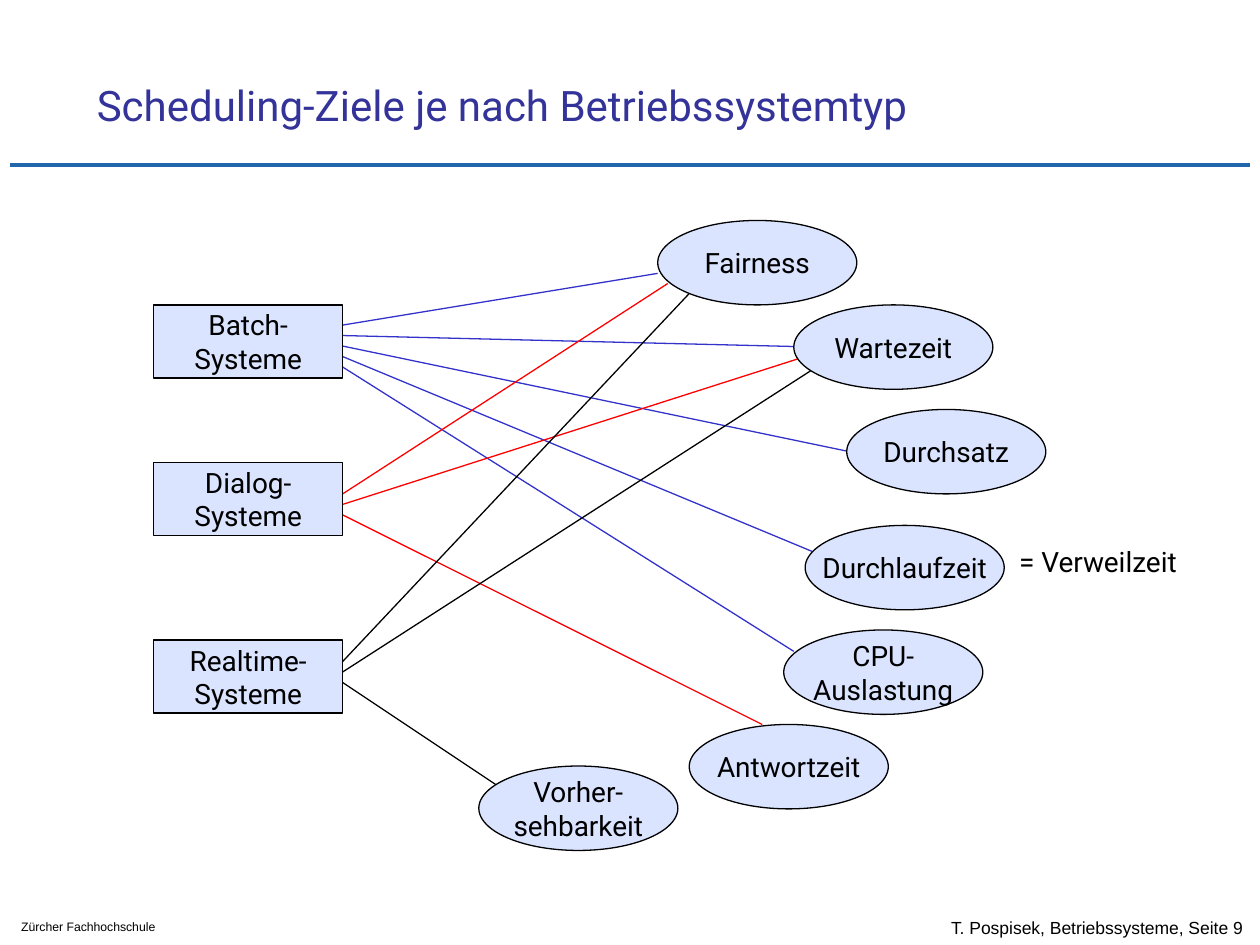
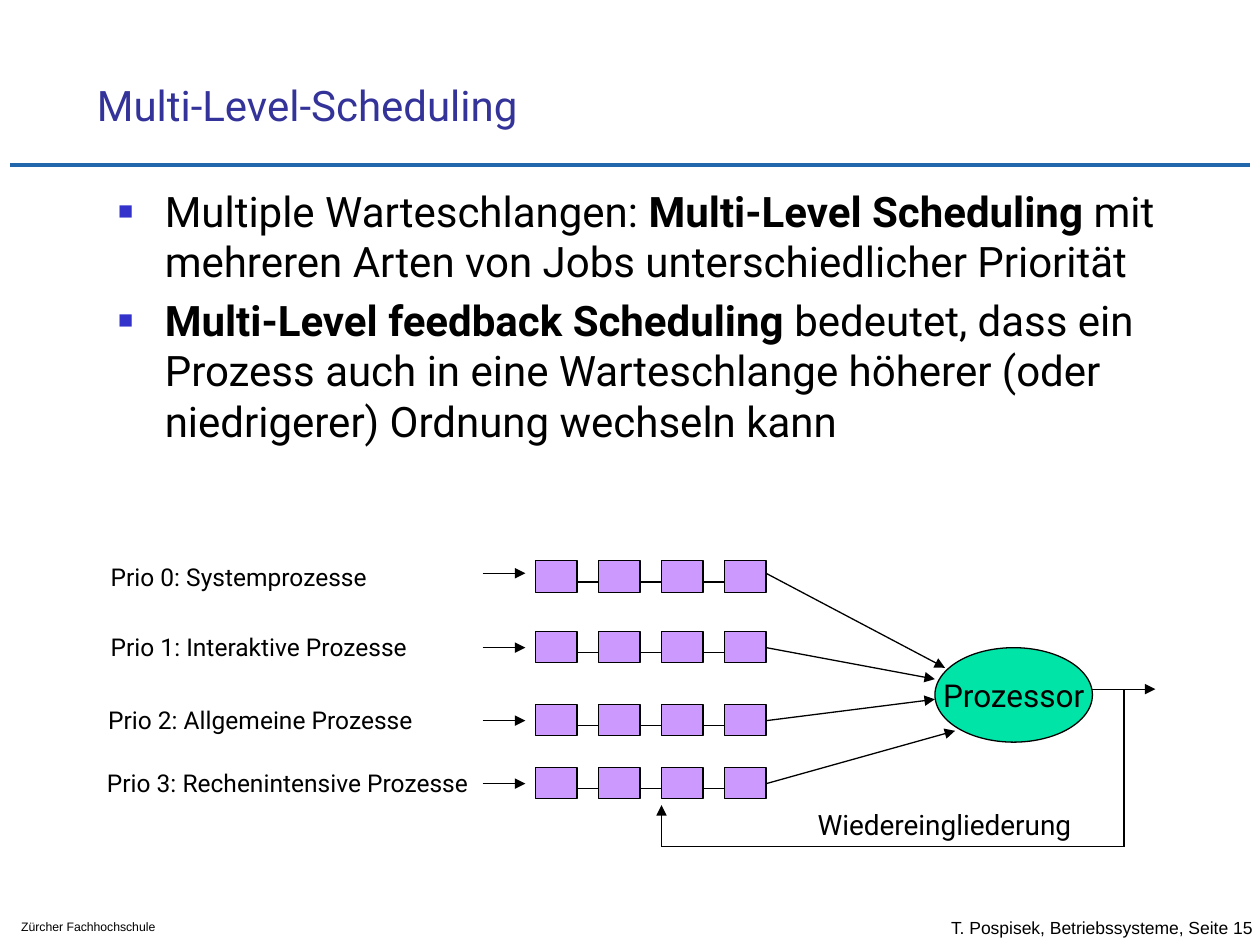
from dataclasses import dataclass
from itertools import pairwise
from typing import Any, NamedTuple

from lxml.etree import SubElement
from pptx import Presentation
from pptx.dml.color import RGBColor
from pptx.enum.shapes import MSO_CONNECTOR, MSO_SHAPE
from pptx.enum.text import MSO_ANCHOR, PP_ALIGN
from pptx.oxml.ns import qn
from pptx.slide import Slide
from pptx.util import Inches, Pt


@dataclass(frozen=True)
class Theme:
    black: str = "000000"
    title: str = "333399"
    rule: str = "2266AB"
    accent: str = "3333CC"
    red: str = "FF0000"
    node: str = "DAE4FF"
    job: str = "CC99FF"
    processor: str = "00E4A8"
    body_font: str = "Roboto"
    footer_font: str = "Arial"
    heading_size: float = 24
    processor_size: float = 18
    node_size: float = 16
    label_size: float = 14
    page_size: float = 10
    school_size: float = 7
    hairline: float = 0.75
    rule_width: float = 2.5


THEME = Theme()


class Point(NamedTuple):
    x: float
    y: float


class Box(NamedTuple):
    left: float
    top: float
    width: float
    height: float


class Span(NamedTuple):
    text: str
    bold: bool = False


class Goal(NamedTuple):
    text: str
    left: float
    top: float


class System(NamedTuple):
    text: str
    top: float
    first_exit: float
    color: str
    targets: list[Point]


class Queue(NamedTuple):
    text: str
    label_left: float
    label_width: float
    top: float
    flow_y: float
    processor_entry: Point


NODE_HEIGHT_STEP = 1 / 12
SYSTEM_LEFT, SYSTEM_WIDTH, SYSTEM_HEIGHT = 1.22, 1.5, 0.58
GOAL_WIDTH, GOAL_HEIGHT = 1.58, 0.67
JOB_LEFT, JOB_PITCH, JOB_WIDTH, JOB_HEIGHT, JOB_COUNT = 4.25, 0.5, 0.33, 0.25, 4

GOALS = [
    Goal("Fairness", 5.22, 1.75),
    Goal("Wartezeit", 6.3, 2.42),
    Goal("Durchsatz", 6.72, 3.25),
    Goal("Durchlaufzeit", 6.39, 4.17),
    Goal("CPU-\nAuslastung", 6.22, 5),
    Goal("Antwortzeit", 5.47, 5.75),
    Goal("Vorher-\nsehbarkeit", 3.8, 6.08),
]

SYSTEMS = [
    System("Batch-\nSysteme", 2.42, 2.58, THEME.accent,
           [Point(5.22, 2.17), Point(6.3, 2.75), Point(6.72, 3.58),
            Point(6.55, 4.42), Point(6.3, 5.17)]),
    System("Dialog-\nSysteme", 3.67, 3.92, THEME.red,
           [Point(5.3, 2.25), Point(6.39, 2.83), Point(6.05, 5.75)]),
    System("Realtime-\nSysteme", 5.08, 5.25, THEME.black,
           [Point(5.47, 2.33), Point(6.47, 2.92), Point(3.97, 6.25)]),
]

QUEUES = [
    Queue("Prio 0: Systemprozesse", 0.78, 2.3, 4.45, 4.55, Point(7.5, 5.3)),
    Queue("Prio 1: Interaktive Prozesse", 0.78, 2.68, 5.01, 5.14, Point(7.42, 5.39)),
    Queue("Prio 2: Allgemeine Prozesse", 0.76, 2.72, 5.59, 5.72, Point(7.42, 5.55)),
    Queue("Prio 3: Rechenintensive Prozesse", 0.75, 3.19, 6.09, 6.22, Point(7.58, 5.8)),
]

EXPLANATIONS = [
    [Span("Multiple Warteschlangen: "), Span("Multi-Level Scheduling", True),
     Span(" mit mehreren Arten von Jobs unterschiedlicher Priorität")],
    [Span("Multi-Level feedback Scheduling", True),
     Span(" bedeutet, dass ein Prozess auch in eine Warteschlange höherer "
          "(oder niedrigerer) Ordnung wechseln kann")],
]


def inches(values: tuple[float, ...]) -> list[Inches]:
    return [Inches(value) for value in values]


def apply(target: Any, values: dict[str, Any]) -> None:
    for name, value in values.items():
        setattr(target, name, value)


def style_font(font: Any, size: float, color: str = THEME.black,
               name: str = THEME.body_font, bold: bool = False) -> None:
    apply(font, {"size": Pt(size), "name": name, "bold": bold})
    font.color.rgb = RGBColor.from_string(color)


def write(frame: Any, text: str, size: float, color: str = THEME.black,
          font: str = THEME.body_font, align: PP_ALIGN = PP_ALIGN.LEFT) -> None:
    frame.text = text
    for paragraph in frame.paragraphs:
        paragraph.alignment = align
        for run in paragraph.runs:
            style_font(run.font, size, color, font)


def add_label(slide: Slide, box: Box, text: str, size: float,
              color: str = THEME.black, font: str = THEME.body_font,
              anchor: MSO_ANCHOR = MSO_ANCHOR.TOP, wrap: bool = False) -> None:
    frame = slide.shapes.add_textbox(*inches(box)).text_frame
    apply(frame, {"word_wrap": wrap, "vertical_anchor": anchor})
    write(frame, text, size, color, font)


def add_node(slide: Slide, kind: MSO_SHAPE, box: Box, fill: str,
             text: str = "", size: float = THEME.node_size) -> None:
    shape = slide.shapes.add_shape(kind, *inches(box))
    shape.shadow.inherit = False
    shape.fill.solid()
    shape.fill.fore_color.rgb = RGBColor.from_string(fill)
    shape.line.color.rgb = RGBColor.from_string(THEME.black)
    shape.line.width = Pt(THEME.hairline)
    if text:
        apply(shape.text_frame, {"word_wrap": False,
                                 "vertical_anchor": MSO_ANCHOR.MIDDLE})
        write(shape.text_frame, text, size, align=PP_ALIGN.CENTER)


def add_line(slide: Slide, start: Point, end: Point, color: str = THEME.black,
             width: float = THEME.hairline, arrow: bool = False) -> None:
    connector = slide.shapes.add_connector(
        MSO_CONNECTOR.STRAIGHT, *inches(start), *inches(end))
    connector.line.color.rgb = RGBColor.from_string(color)
    connector.line.width = Pt(width)
    properties = connector._element.spPr
    if arrow:
        SubElement(properties.find(qn("a:ln")), qn("a:tailEnd"), type="triangle")
    SubElement(properties, qn("a:effectLst"))


def add_bullet(paragraph: Any) -> None:
    properties = paragraph._p.get_or_add_pPr()
    apply_margin = {"marL": Inches(0.38), "indent": Inches(-0.37)}
    for name, value in apply_margin.items():
        properties.set(name, str(int(value)))
    color = SubElement(properties, qn("a:buClr"))
    SubElement(color, qn("a:srgbClr"), val=THEME.accent)
    SubElement(properties, qn("a:buSzPct"), val="60000")
    SubElement(properties, qn("a:buFont"), typeface=THEME.footer_font)
    SubElement(properties, qn("a:buChar"), char="■")


def add_explanations(slide: Slide) -> None:
    frame = slide.shapes.add_textbox(*inches(Box(0.83, 1.42, 8.5, 2.58))).text_frame
    frame.word_wrap = True
    for index, spans in enumerate(EXPLANATIONS):
        paragraph = frame.add_paragraph() if index else frame.paragraphs[0]
        add_bullet(paragraph)
        paragraph.space_before = Pt(4.8 if index else 0)
        for span in spans:
            run = paragraph.add_run()
            run.text = span.text
            style_font(run.font, THEME.heading_size, bold=span.bold)


def add_base_slide(deck: Any, title: str, page: int) -> Slide:
    """Add a slide with the shared title, rule and footers."""
    slide = deck.slides.add_slide(deck.slide_layouts[6])
    add_line(slide, Point(0.08, 1.31), Point(9.92, 1.31), THEME.rule, THEME.rule_width)
    add_label(slide, Box(7.45, 7.2, 3.43, 0.33),
              f"T. Pospisek, Betriebssysteme, Seite {page}", THEME.page_size,
              font=THEME.footer_font, anchor=MSO_ANCHOR.MIDDLE, wrap=True)
    add_label(slide, Box(0.07, 7.25, 1.72, 0.22), "Zürcher Fachhochschule",
              THEME.school_size, font=THEME.footer_font, wrap=True)
    add_label(slide, Box(0.67, 0.33, 8.52, 0.75), title, THEME.heading_size,
              THEME.title, anchor=MSO_ANCHOR.BOTTOM, wrap=True)
    return slide


def add_system(slide: Slide, system: System) -> None:
    for index, target in enumerate(system.targets):
        exit_point = Point(SYSTEM_LEFT + SYSTEM_WIDTH,
                           system.first_exit + index * NODE_HEIGHT_STEP)
        add_line(slide, exit_point, target, system.color)
    add_node(slide, MSO_SHAPE.RECTANGLE,
             Box(SYSTEM_LEFT, system.top, SYSTEM_WIDTH, SYSTEM_HEIGHT),
             THEME.node, system.text)


def add_queue(slide: Slide, queue: Queue) -> None:
    last_job = JOB_LEFT + (JOB_COUNT - 1) * JOB_PITCH
    chain_y = queue.top + 0.17
    add_label(slide, Box(queue.label_left, queue.top - 0.04, queue.label_width, 0.33),
              queue.text, THEME.label_size)
    add_line(slide, Point(3.83, queue.flow_y), Point(4.17, queue.flow_y), arrow=True)
    add_line(slide, Point(JOB_LEFT + JOB_WIDTH, chain_y), Point(last_job, chain_y))
    for index in range(JOB_COUNT):
        add_node(slide, MSO_SHAPE.RECTANGLE,
                 Box(JOB_LEFT + index * JOB_PITCH, queue.top, JOB_WIDTH, JOB_HEIGHT),
                 THEME.job)
    add_line(slide, Point(last_job + JOB_WIDTH, queue.flow_y),
             queue.processor_entry, arrow=True)


def add_goals_slide(deck: Any) -> None:
    slide = add_base_slide(deck, "Scheduling-Ziele je nach Betriebssystemtyp", 9)
    for system in SYSTEMS:
        add_system(slide, system)
    for goal in GOALS:
        add_node(slide, MSO_SHAPE.OVAL,
                 Box(goal.left, goal.top, GOAL_WIDTH, GOAL_HEIGHT),
                 THEME.node, goal.text)
    add_label(slide, Box(7.99, 4.27, 1.51, 0.37), "= Verweilzeit", THEME.node_size)


def add_multi_level_slide(deck: Any) -> None:
    slide = add_base_slide(deck, "Multi-Level-Scheduling", 15)
    add_explanations(slide)
    add_node(slide, MSO_SHAPE.OVAL, Box(7.42, 5.14, 1.25, 0.75), THEME.processor,
             "Prozessor", THEME.processor_size)
    for queue in QUEUES:
        add_queue(slide, queue)
    add_line(slide, Point(8.67, 5.47), Point(9.17, 5.47), arrow=True)
    feedback = [Point(8.92, 5.47), Point(8.92, 6.72), Point(5.25, 6.72), Point(5.25, 6.39)]
    for start, end in pairwise(feedback):
        add_line(slide, start, end, arrow=end == feedback[-1])
    add_label(slide, Box(6.39, 6.36, 2.39, 0.37), "Wiedereingliederung", THEME.node_size)


def main() -> None:
    deck = Presentation()
    apply(deck, {"slide_width": Inches(10), "slide_height": Inches(7.5)})
    add_goals_slide(deck)
    add_multi_level_slide(deck)
    deck.save("out.pptx")


if __name__ == "__main__":
    main()
